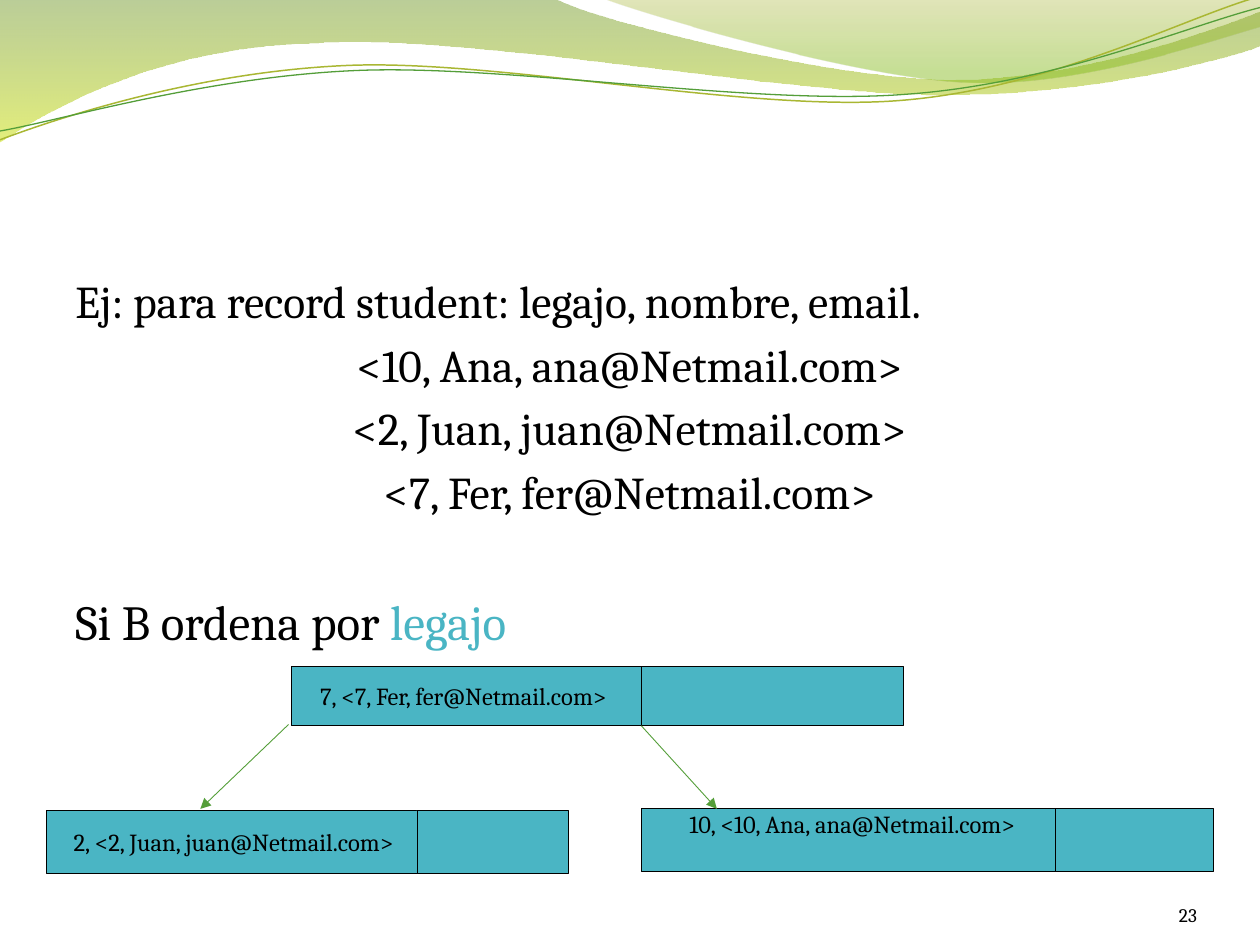
from typing import NamedTuple

from lxml import etree
from pptx import Presentation
from pptx.dml.color import RGBColor
from pptx.enum.shapes import MSO_CONNECTOR, MSO_SHAPE
from pptx.enum.text import MSO_ANCHOR, PP_ALIGN
from pptx.oxml import parse_xml
from pptx.oxml.ns import nsdecls, qn
from pptx.util import Inches, Pt

LEFT, CENTER, RIGHT = PP_ALIGN.LEFT, PP_ALIGN.CENTER, PP_ALIGN.RIGHT
TOP, MIDDLE, BOTTOM = MSO_ANCHOR.TOP, MSO_ANCHOR.MIDDLE, MSO_ANCHOR.BOTTOM
RECTANGLE, STRAIGHT = MSO_SHAPE.RECTANGLE, MSO_CONNECTOR.STRAIGHT

FONT = "Cambria"
BLACK, TEAL, GREEN, OLIVE = "000000", "4AB5C4", "549E39", "A9B733"
UNITS_PER_INCH = 10000


class Stop(NamedTuple):
    position: int
    color: str
    opacity: int


class Wave(NamedTuple):
    """Each segment holds one end point, or two controls and an end point."""
    start: tuple[float, float]
    segments: list[tuple[float, ...]]
    stops: tuple[Stop, ...] = ()
    line: str = ""
    weight: float = 0


class Line(NamedTuple):
    runs: list[tuple[str, str]]
    size: float
    align: PP_ALIGN = LEFT
    before: float = 0


class Cell(NamedTuple):
    left: float
    top: float
    width: float
    height: float
    label: str = ""
    anchor: MSO_ANCHOR = MIDDLE


class Pointer(NamedTuple):
    start: tuple[float, float]
    end: tuple[float, float]


WAVES = [
    Wave((0, 0), [
        (4.4, -0.01), (4.75, 0.17, 6.63, 0.63, 7.58, 0.63),
        (8.53, 0.63, 9.58, 0.26, 10, 0.09), (10.01, 0.36),
        (9.83, 0.44, 8.69, 0.76, 7.46, 0.75),
        (6.22, 0.75, 3.81, 0.28, 2.57, 0.34),
        (1.29, 0.36, 0.46, 0.83, -0.01, 1.13), (0, 0),
    ], stops=(Stop(0, "69921C", 45), Stop(100, "CCE10F", 55))),
    Wave((4.79, -0.01), [
        (5.09, 0.11, 6.82, 0.62, 7.68, 0.65),
        (8.55, 0.69, 9.61, 0.32, 10, 0.21), (10, 0), (4.79, -0.01),
    ], stops=(Stop(0, "9BAA1A", 30), Stop(80, "81BA16", 45))),
    Wave((0, 1.11), [
        (0.48, 0.93, 1.57, 0.57, 2.76, 0.52),
        (3.95, 0.47, 5.92, 0.89, 7.12, 0.8),
        (8.33, 0.71, 9.38, 0.15, 9.97, -0.02),
    ], line=OLIVE, weight=0.85),
    Wave((0, 1.04), [
        (0.47, 0.96, 1.63, 0.61, 2.83, 0.56),
        (4.02, 0.51, 5.97, 0.84, 7.17, 0.75),
        (8.36, 0.67, 9.41, 0.21, 10, 0.06),
    ], line=GREEN, weight=0.75),
]

ANA, JUAN, FER = (
    "<10, Ana, ana@Netmail.com>",
    "<2, Juan, juan@Netmail.com>",
    "<7, Fer, fer@Netmail.com>",
)
EXAMPLE = [
    Line([("Ej: para record student: legajo, nombre, email.", BLACK)], 26),
    *(Line([(record, BLACK)], 26, CENTER, 5.1) for record in (ANA, JUAN, FER)),
    Line([("Si B ordena por ", BLACK), ("legajo", TEAL)], 28, LEFT, 42),
]

NODE_CELLS = [
    Cell(5.09, 6.42, 3.35, 0.5, f"10, {ANA}", TOP),
    Cell(4.87, 5.29, 2.3, 0.47),
    Cell(0.37, 6.43, 2.97, 0.5, f"2, {JUAN}"),
    Cell(2.31, 5.29, 2.78, 0.47, f"7, {FER} "),
    Cell(3.31, 6.43, 1.2, 0.5),
    Cell(8.38, 6.42, 1.25, 0.5),
]
POINTERS = [Pointer((2.29, 5.75), (1.59, 6.42)), Pointer((5.09, 5.76), (5.69, 6.42))]


def rgb(color: str) -> RGBColor:
    return RGBColor.from_string(color)


def gradient(stops: tuple[Stop, ...]):
    listed = "".join(
        f'<a:gs pos="{s.position * 1000}"><a:srgbClr val="{s.color}">'
        f'<a:alpha val="{s.opacity * 1000}"/></a:srgbClr></a:gs>' for s in stops)
    return parse_xml(f'<a:gradFill {nsdecls("a")} rotWithShape="1"><a:gsLst>{listed}'
                     '</a:gsLst><a:lin ang="5400000" scaled="0"/></a:gradFill>')


def bend(outline, segments: list[tuple[float, ...]]) -> None:
    """Join the three straight steps of each curved segment into one Bezier."""
    steps = iter(list(outline.iter(qn("a:lnTo"))))
    for segment in segments:
        first, *others = [next(steps) for _ in range(len(segment) // 2)]
        if others:
            curve = etree.Element(qn("a:cubicBezTo"))
            first.addprevious(curve)
            for step in (first, *others):
                curve.append(step[0])
                outline.remove(step)


def draw_wave(slide, wave: Wave) -> None:
    points = [(segment[i] * UNITS_PER_INCH, segment[i + 1] * UNITS_PER_INCH)
              for segment in (wave.start, *wave.segments)
              for i in range(0, len(segment), 2)]
    builder = slide.shapes.build_freeform(*points[0], scale=Inches(1) / UNITS_PER_INCH)
    builder.add_line_segments(points[1:], close=bool(wave.stops))
    shape = builder.convert_to_shape()
    geometry = shape.element.spPr.find(qn("a:custGeom"))
    bend(next(geometry.iter(qn("a:path"))), wave.segments)
    shape.shadow.inherit = False
    if wave.stops:
        shape.line.fill.background()
        geometry.addnext(gradient(wave.stops))
    else:
        shape.fill.background()
        shape.line.color.rgb = rgb(wave.line)
        shape.line.width = Pt(wave.weight)


def write(frame, lines: list[Line], anchor: MSO_ANCHOR) -> None:
    frame.word_wrap = True
    frame.vertical_anchor = anchor
    for index, line in enumerate(lines):
        paragraph = frame.add_paragraph() if index else frame.paragraphs[0]
        paragraph.alignment = line.align
        if line.before:
            paragraph.space_before = Pt(line.before)
        for text, color in line.runs:
            run = paragraph.add_run()
            run.text = text
            run.font.name = FONT
            run.font.size = Pt(line.size)
            run.font.color.rgb = rgb(color)


def draw_cell(slide, cell: Cell) -> None:
    shape = slide.shapes.add_shape(RECTANGLE, *map(Inches, cell[:4]))
    shape.shadow.inherit = False
    shape.fill.solid()
    shape.fill.fore_color.rgb = rgb(TEAL)
    shape.line.color.rgb = rgb(BLACK)
    shape.line.width = Pt(0.5)
    if cell.label:
        write(shape.text_frame, [Line([(cell.label, BLACK)], 14, CENTER)], cell.anchor)
    if cell.anchor == TOP:
        shape.text_frame.margin_top = 0


def draw_pointer(slide, pointer: Pointer) -> None:
    arrow = slide.shapes.add_connector(
        STRAIGHT, *map(Inches, pointer.start + pointer.end))
    arrow.line.color.rgb = rgb(GREEN)
    arrow.line.width = Pt(0.5)
    line = arrow.element.spPr.find(qn("a:ln"))
    etree.SubElement(line, qn("a:tailEnd"), type="triangle")
    etree.SubElement(arrow.element.spPr, qn("a:effectLst"))


def main() -> None:
    deck = Presentation()
    deck.slide_width, deck.slide_height = Inches(10), Inches(7.5)
    slide = deck.slides.add_slide(deck.slide_layouts[6])

    # Header waves
    for wave in WAVES:
        draw_wave(slide, wave)

    # Example records
    example = slide.shapes.add_textbox(Inches(0.5), Inches(2.12), Inches(9), Inches(4.8))
    write(example.text_frame, EXAMPLE, TOP)

    # Page number
    page = slide.shapes.add_textbox(
        Inches(8.67), Inches(6.95), Inches(0.83), Inches(0.4)).text_frame
    page.margin_left = page.margin_right = page.margin_top = page.margin_bottom = 0
    write(page, [Line([("23", BLACK)], 11, RIGHT)], BOTTOM)

    # B tree
    for cell in NODE_CELLS:
        draw_cell(slide, cell)
    for pointer in POINTERS:
        draw_pointer(slide, pointer)

    deck.save("out.pptx")


if __name__ == "__main__":
    main()
